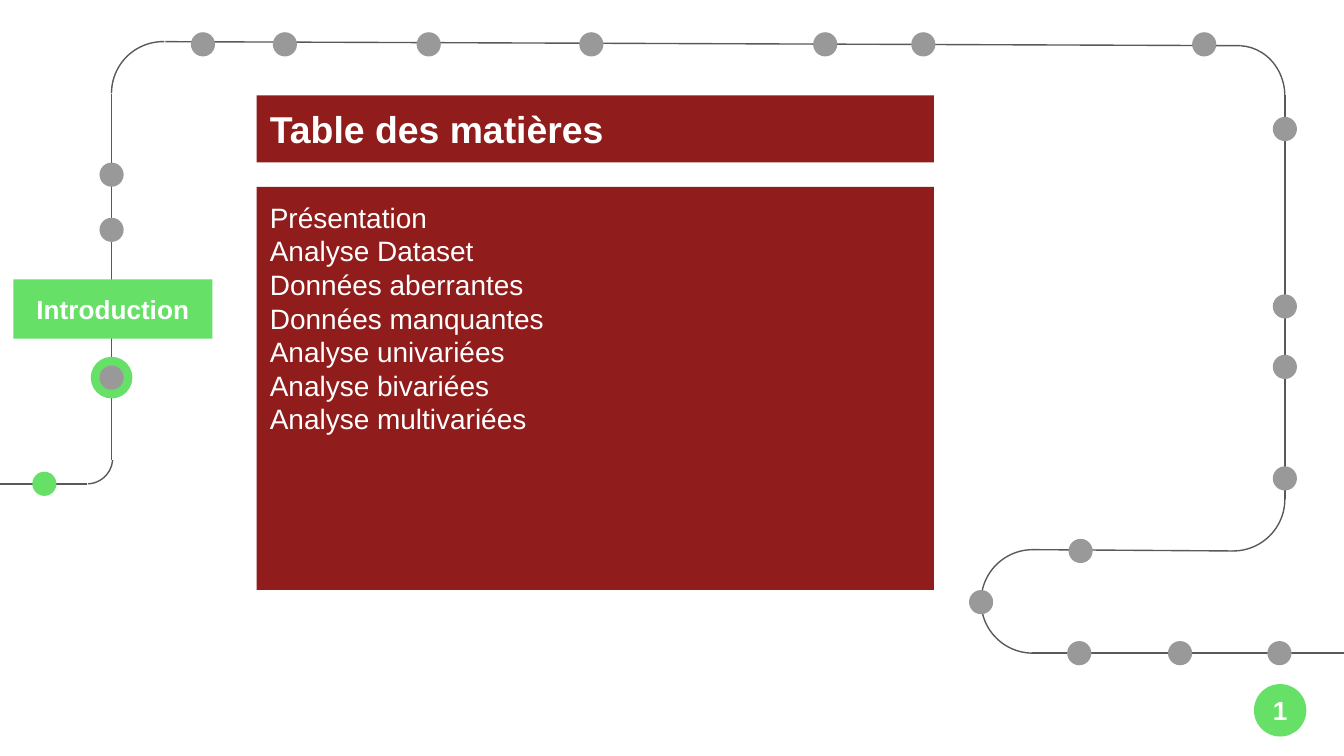
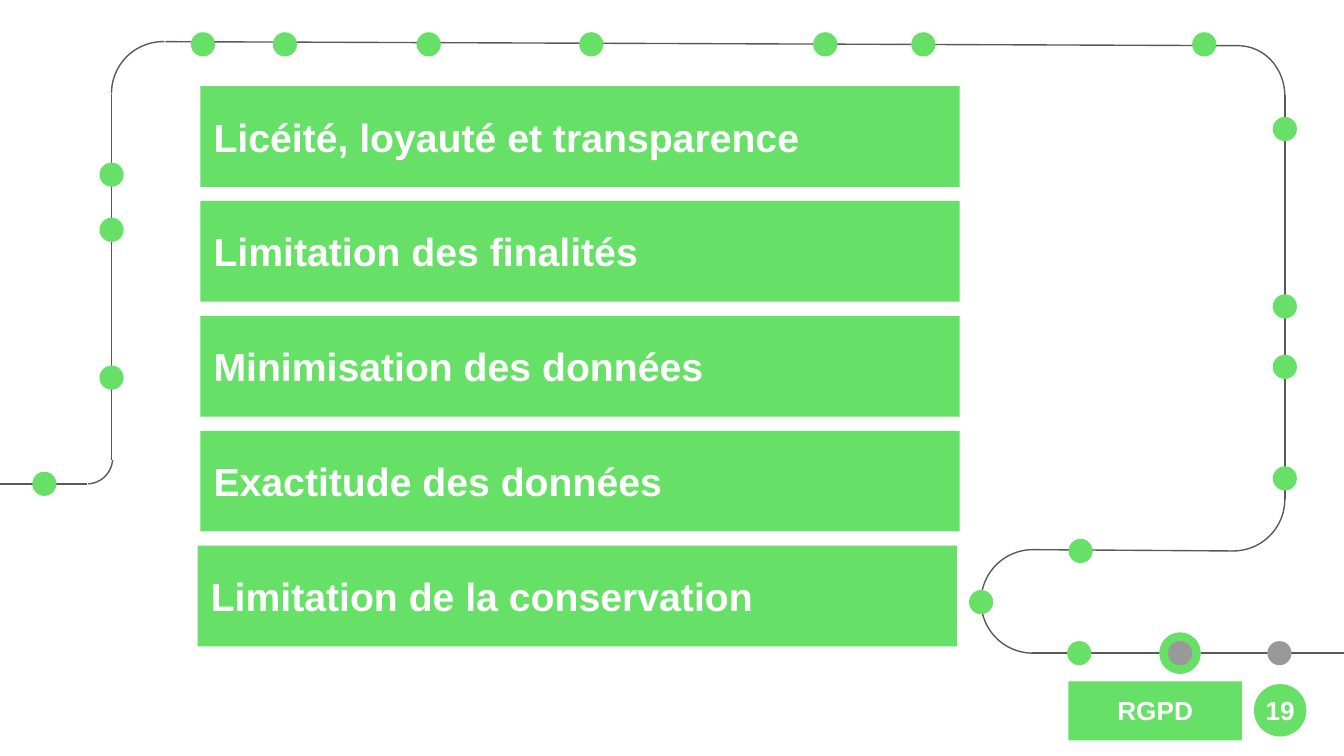
from dataclasses import dataclass
from pptx import Presentation
from pptx import util as u
from pptx.dml.color import RGBColor
from pptx.enum import shapes, text
from pptx.oxml.ns import qn

IN = u.Inches
KIND = shapes.MSO_SHAPE


@dataclass(frozen=True)
class Theme:
    font: str = "Arial"
    green: str = "66E066"
    grey: str = "999999"
    red: str = "901C1C"
    white: str = "FFFFFF"
    line: str = "595959"
    rule: float = 0.75
    inset: float = 0.1
    small: int = 14
    body: int = 15
    head: int = 20
    bar: int = 21


T = Theme()
DOT, RING, BADGE = 0.18, 0.31, 0.39

# Straight pieces of the route: x1, y1, x2, y2
LINES = [
    (-0.12, 3.6, 0.65, 3.6),
    (0.83, 3.42, 0.83, 0.7),
    (1.23, 0.31, 9.23, 0.34),
    (9.56, 0.71, 9.56, 3.71),
    (9.17, 4.1, 7.69, 4.09),
    (10.1, 4.86, 7.68, 4.86),
]

# Bends of the route: box, then start and end angle in degrees
BENDS = [
    ((0.46, 3.21, 0.38, 0.39), 5.81, 88.79),
    ((0.83, 0.31, 0.77, 0.77), 179.99, 271.22),
    ((8.87, 0.34, 0.69, 0.75), 272.48, 0),
    ((8.79, 3.33, 0.77, 0.77), 0, 91.21),
    ((7.3, 4.09, 0.77, 0.77), 90, 271.15),
]

# Stops in travel order
STOPS = (
    [(0.24, 3.51)]
    + [(0.74, y) for y in (2.72, 1.62, 1.21)]
    + [(x, 0.24) for x in (1.42, 2.03, 3.1, 4.31, 6.05, 6.78, 8.87)]
    + [(9.47, y) for y in (0.87, 2.19, 2.64, 3.47)]
    + [(7.95, 4.01), (7.21, 4.39)]
    + [(x, 4.77) for x in (7.94, 8.69, 9.43)]
)


def rgb(hue):
    return RGBColor.from_string(hue)


def stroke(item):
    item.line.color.rgb = rgb(T.line)
    item.line.width = u.Pt(T.rule)


def form(slide, kind, box, fill):
    item = slide.shapes.add_shape(kind, *map(IN, box))
    item.shadow.inherit = False
    item.fill.solid()
    item.fill.fore_color.rgb = rgb(fill)
    item.line.fill.background()
    return item


def write(item, words, size, bold=True, center=False, top=False):
    frame = item.text_frame
    frame.word_wrap = True
    frame.margin_left = frame.margin_right = IN(T.inset)
    frame.margin_top = frame.margin_bottom = IN(T.inset)
    frame.vertical_anchor = text.MSO_ANCHOR.TOP if top else text.MSO_ANCHOR.MIDDLE
    frame.text = words
    for para in frame.paragraphs:
        para.alignment = text.PP_ALIGN.CENTER if center else text.PP_ALIGN.LEFT
        for run in para.runs:
            run.font.name = T.font
            run.font.size = u.Pt(size)
            run.font.bold = bold
            run.font.color.rgb = rgb(T.white)


def panel(slide, box, fill, words, size, **style):
    item = form(slide, KIND.RECTANGLE, box, fill)
    write(item, words, size, **style)
    return item


def track(slide):
    for ends in LINES:
        wire = slide.shapes.add_connector(
            shapes.MSO_CONNECTOR.STRAIGHT, *map(IN, ends))
        stroke(wire)
        props = wire._element.spPr
        props.append(props.makeelement(qn("a:effectLst"), {}))
    for box, start, end in BENDS:
        bend = slide.shapes.add_shape(KIND.ARC, *map(IN, box))
        bend.shadow.inherit = False
        bend.fill.background()
        stroke(bend)
        # Arc angles count 60000 per degree, adjustments 100000 per unit
        bend.adjustments[0] = start * 0.6
        bend.adjustments[1] = end * 0.6


def dots(slide, now):
    """Green for stops passed, grey ahead, a ring around the current one."""
    for i, (x, y) in enumerate(STOPS):
        if i == now:
            gap = (RING - DOT) / 2
            form(slide, KIND.OVAL, (x - gap, y - gap, RING, RING), T.green)
        hue = T.green if i < now else T.grey
        form(slide, KIND.OVAL, (x, y, DOT, DOT), hue)


def badge(slide, page):
    form(slide, KIND.OVAL, (9.33, 5.09, BADGE, BADGE), T.green)
    label = slide.shapes.add_textbox(IN(9.23), IN(4.99), IN(0.59), IN(0.59))
    write(label, page, T.small, center=True)


def base(deck, now, page, tag, box):
    """Route, page number and section tag shared by all slides."""
    slide = deck.slides.add_slide(deck.slide_layouts[6])
    track(slide)
    dots(slide, now)
    badge(slide, page)
    label = panel(slide, box, T.green, tag, T.small, center=True, top=True)
    label.text_frame.auto_size = text.MSO_AUTO_SIZE.SHAPE_TO_FIT_TEXT
    return slide


def agenda(deck):
    slide = base(deck, 1, "1", "Introduction", (0.1, 2.08, 1.48, 0.44))
    topics = [
        "Présentation",
        "Analyse Dataset",
        "Données aberrantes",
        "Données manquantes",
        "Analyse univariées",
        "Analyse bivariées",
        "Analyse multivariées",
    ]
    panel(slide, (1.91, 0.71, 5.04, 0.5), T.red, "Table des matières", T.head)
    panel(slide, (1.91, 1.39, 5.04, 3), T.red, "\n".join(topics), T.body,
          bold=False, top=True)


def rules(deck):
    slide = base(deck, 18, "19", "RGPD", (7.95, 5.07, 1.29, 0.44))
    bars = [
        (1.49, "Licéité, loyauté et transparence"),
        (1.49, "Limitation des finalités"),
        (1.49, "Minimisation des données"),
        (1.49, "Exactitude des données"),
        (1.47, "Limitation de la conservation"),
    ]
    first, last = 0.64, 4.06
    step = (last - first) / (len(bars) - 1)
    for i, (left, words) in enumerate(bars):
        panel(slide, (left, first + i * step, 5.65, 0.75), T.green, words, T.bar)


def main():
    deck = Presentation()
    # Widescreen, 16 to 9
    deck.slide_width = IN(10)
    deck.slide_height = IN(10 * 9 / 16)
    agenda(deck)
    rules(deck)
    deck.save("out.pptx")


if __name__ == "__main__":
    main()
